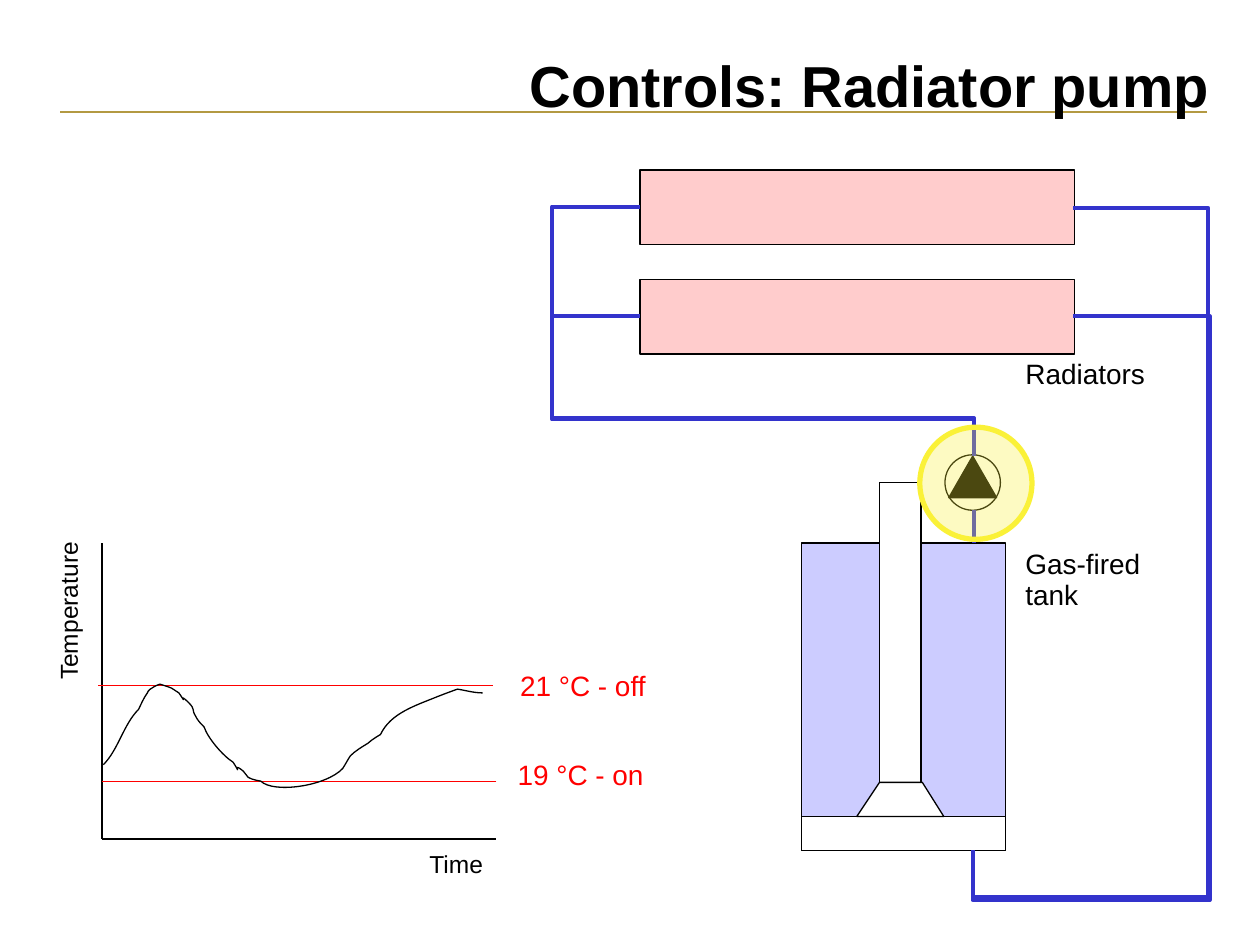
"""Builds the slide on radiator pump control."""
from lxml import etree
from pptx import Presentation
from pptx.dml.color import RGBColor
from pptx.enum import shapes, text
from pptx.oxml import ns
from pptx.util import Inches, Pt

BLACK, WHITE, RED, PIPE, YELLOW = "000000", "FFFFFF", "FF0000", "3333CC", "FAF138"
TANK, RADIATOR = "CCCCFF", "FFCCCC"
SHAPE, LINK, ALIGN = shapes.MSO_SHAPE, shapes.MSO_CONNECTOR, text.PP_ALIGN

prs = Presentation()
prs.slide_width, prs.slide_height = Inches(10), Inches(7.5)
s = prs.slides.add_slide(prs.slide_layouts[6])


def paint(sp, fill=None, line=BLACK, width=0.74):
    """Sets fill and line of a shape, or the line of a connector."""
    sp.line.color.rgb = RGBColor.from_string(line)
    sp.line.width = Pt(width)
    if sp.shape_type == shapes.MSO_SHAPE_TYPE.LINE:
        etree.SubElement(sp._element.spPr, ns.qn("a:effectLst"))
        return
    sp.shadow.inherit = False
    if fill:
        sp.fill.solid()
        sp.fill.fore_color.rgb = RGBColor.from_string(fill)
    else:
        sp.fill.background()


def outline(points, closed=False):
    """Returns a freeform through points given in inches."""
    pts = [(Inches(x), Inches(y)) for x, y in points]
    fb = s.shapes.build_freeform(*pts[0])
    fb.add_line_segments(pts[1:], close=closed)
    return fb.convert_to_shape()


parts = [
    (LINK.STRAIGHT, 9.58, 0.89, 0.48, 0.89, "B39942", 1.5),
    (SHAPE.RECTANGLE, 6.36, 4.31, 1.62, 2.44, TANK),
    (LINK.STRAIGHT, 6.66, 4.31, 7.73, 4.31, BLACK, 0.74),
    (LINK.STRAIGHT, 6.66, 6.75, 7.73, 6.75, BLACK, 0.74),
    (SHAPE.RECTANGLE, 6.98, 3.83, 0.33, 2.38, WHITE),
    (SHAPE.RECTANGLE, 6.36, 6.48, 1.62, 0.27, WHITE),
    (SHAPE.RECTANGLE, 5.08, 1.35, 3.45, 0.59, RADIATOR),
    (SHAPE.RECTANGLE, 5.08, 2.22, 3.45, 0.59, RADIATOR),
    (LINK.STRAIGHT, 0.81, 4.31, 0.81, 6.66, BLACK, 0.74),
    (LINK.STRAIGHT, 0.81, 6.66, 3.94, 6.66, BLACK, 0.74),
    (LINK.STRAIGHT, 3.94, 6.2, 0.81, 6.2, RED, 0.74),
    (LINK.STRAIGHT, 3.91, 5.44, 0.78, 5.44, RED, 0.74),
    (SHAPE.OVAL, 7.5, 3.61, 0.44, 0.44, WHITE),
    (SHAPE.ISOSCELES_TRIANGLE, 7.53, 3.62, 0.38, 0.33, BLACK),
]
drawn = []
for kind, x, y, w, h, *look in parts:
    add = s.shapes.add_connector if kind in LINK else s.shapes.add_shape
    sp = add(kind, Inches(x), Inches(y), Inches(w), Inches(h))
    paint(sp, *([None] + look if kind in LINK else look))
    drawn.append(sp)
s.shapes.add_group_shape(drawn[-2:])

burner = outline([(7.49, 6.48), (6.8, 6.48), (6.98, 6.21), (7.32, 6.21)], True)
paint(burner, WHITE)

pipes = [
    (7.6, 4.18, 0.26, 0, 90, "", [96500]),
    (7.72, 1.65, 0.8, 5.1, 0, "H", [-133600, 107300]),
    (5.08, 1.64, 2.65, 1.97, 180, "HV", [-26400, 85200]),
    (5.85, 1.74, 1.11, 2.65, 270, "V", [26200, 126400]),
    (7.72, 2.51, 0.8, 4.24, 0, "H", [-135100, 109300]),
]
for x, y, w, h, turn, flips, bends in pipes:
    sp = s.shapes.add_connector(LINK.ELBOW, Inches(x), Inches(y), Inches(x + w), Inches(y + h))
    paint(sp, None, PIPE, 2.24)
    xfrm = sp._element.spPr.find(ns.qn("a:xfrm"))
    xfrm.set("rot", str(turn * 60000))
    for flip in flips:
        xfrm.set("flip" + flip, "1")
    geom = sp._element.spPr.find(ns.qn("a:prstGeom"))
    geom.set("prst", f"bentConnector{len(bends) + 2}")
    av = geom.find(ns.qn("a:avLst"))
    for i, bend in enumerate(bends, 1):
        etree.SubElement(av, ns.qn("a:gd"), name=f"adj{i}", fmla=f"val {bend}")

halo = s.shapes.add_shape(SHAPE.OVAL, Inches(7.3), Inches(3.39), Inches(0.89), Inches(0.89))
paint(halo, YELLOW, YELLOW, 3)
clr = halo._element.spPr.find(ns.qn("a:solidFill"))[0]
etree.SubElement(clr, ns.qn("a:alpha"), val="30000")

curves = [
    (0.94, 5.95, 0.98, 5.75, 1.1, 5.63), (1.12, 5.59, 1.14, 5.54, 1.17, 5.5),
    (1.18, 5.46, 1.27, 5.43, 1.27, 5.43), (1.39, 5.47, 1.34, 5.45, 1.42, 5.5),
    (1.51, 5.63, 1.39, 5.47, 1.5, 5.58), (1.55, 5.63, 1.52, 5.63, 1.55, 5.68),
    (1.57, 5.72, 1.59, 5.74, 1.62, 5.77), (1.65, 5.86, 1.77, 6, 1.85, 6.05),
    (1.94, 6.19, 1.82, 6.03, 1.93, 6.12), (1.95, 6.13, 1.95, 6.16, 1.97, 6.17),
    (2, 6.19, 2.07, 6.2, 2.07, 6.2), (2.17, 6.3, 2.59, 6.24, 2.72, 6.1),
    (2.74, 6.07, 2.76, 6.03, 2.78, 6), (2.82, 5.96, 2.87, 5.93, 2.92, 5.9),
    (2.95, 5.87, 3.02, 5.83, 3.02, 5.83), (3.1, 5.66, 3.3, 5.6, 3.47, 5.53),
    (3.52, 5.51, 3.63, 5.47, 3.63, 5.47), (3.7, 5.48, 3.76, 5.5, 3.83, 5.5),
]
temperature = outline([(0.82, 6.07)] + [c[4:] for c in curves])
paint(temperature)
temperature.height = Inches(0.87)
route = next(temperature._element.iter(ns.qn("a:path")))
route.set("h", str(temperature.height))
for segment, c in zip(route.findall(ns.qn("a:lnTo")), curves):
    bezier = etree.Element(ns.qn("a:cubicBezTo"))
    for x, y in zip(c[::2], c[1::2]):
        etree.SubElement(bezier, ns.qn("a:pt"), x=str(Inches(x) - temperature.left),
                         y=str(Inches(y) - temperature.top))
    route.replace(segment, bezier)

base = {"size": 16, "color": BLACK, "bold": False, "align": ALIGN.LEFT, "spacing": 0.93,
        "inset": (0.1, 0.05), "wrap": False, "anchor": text.MSO_ANCHOR.TOP, "rotation": 0,
        "fit": text.MSO_AUTO_SIZE.SHAPE_TO_FIT_TEXT}
labels = [
    ("Controls: Radiator pump", 0.5, 0.47, 9.1, 0.49,
     {"size": 33, "bold": True, "align": ALIGN.RIGHT, "spacing": 0.84, "inset": (0, 0),
      "wrap": True, "anchor": text.MSO_ANCHOR.MIDDLE, "fit": text.MSO_AUTO_SIZE.NONE}),
    ("Gas-fired\ntank", 8.04, 4.31, 1.11, 0.6, {}),
    ("Radiators", 8.04, 2.8, 1.15, 0.35, {}),
    ("Temperature", -0.1, 4.68, 1.31, 0.32, {"size": 14, "rotation": 270}),
    ("Time", 3.31, 6.71, 0.63, 0.32, {"size": 14}),
    ("19 °C - on", 4.01, 5.99, 1.2, 0.35, {"color": RED}),
    ("21 °C - off", 4.03, 5.28, 1.2, 0.35, {"color": RED}),
]
for words, x, y, w, h, extra in labels:
    f = {**base, **extra}
    sp = s.shapes.add_textbox(Inches(x), Inches(y), Inches(w), Inches(h))
    sp.rotation = f["rotation"]
    tf = sp.text_frame
    dx, dy = (Inches(v) for v in f["inset"])
    frame = {"margin_left": dx, "margin_right": dx, "margin_top": dy, "margin_bottom": dy,
             "word_wrap": f["wrap"], "vertical_anchor": f["anchor"], "auto_size": f["fit"]}
    for name, value in frame.items():
        setattr(tf, name, value)
    p = tf.paragraphs[0]
    p.text, p.alignment, p.line_spacing = words, f["align"], f["spacing"]
    for r in p.runs:
        for name, value in {"name": "Arial", "size": Pt(f["size"]), "bold": f["bold"]}.items():
            setattr(r.font, name, value)
        r.font.color.rgb = RGBColor.from_string(f["color"])

prs.save("out.pptx")
